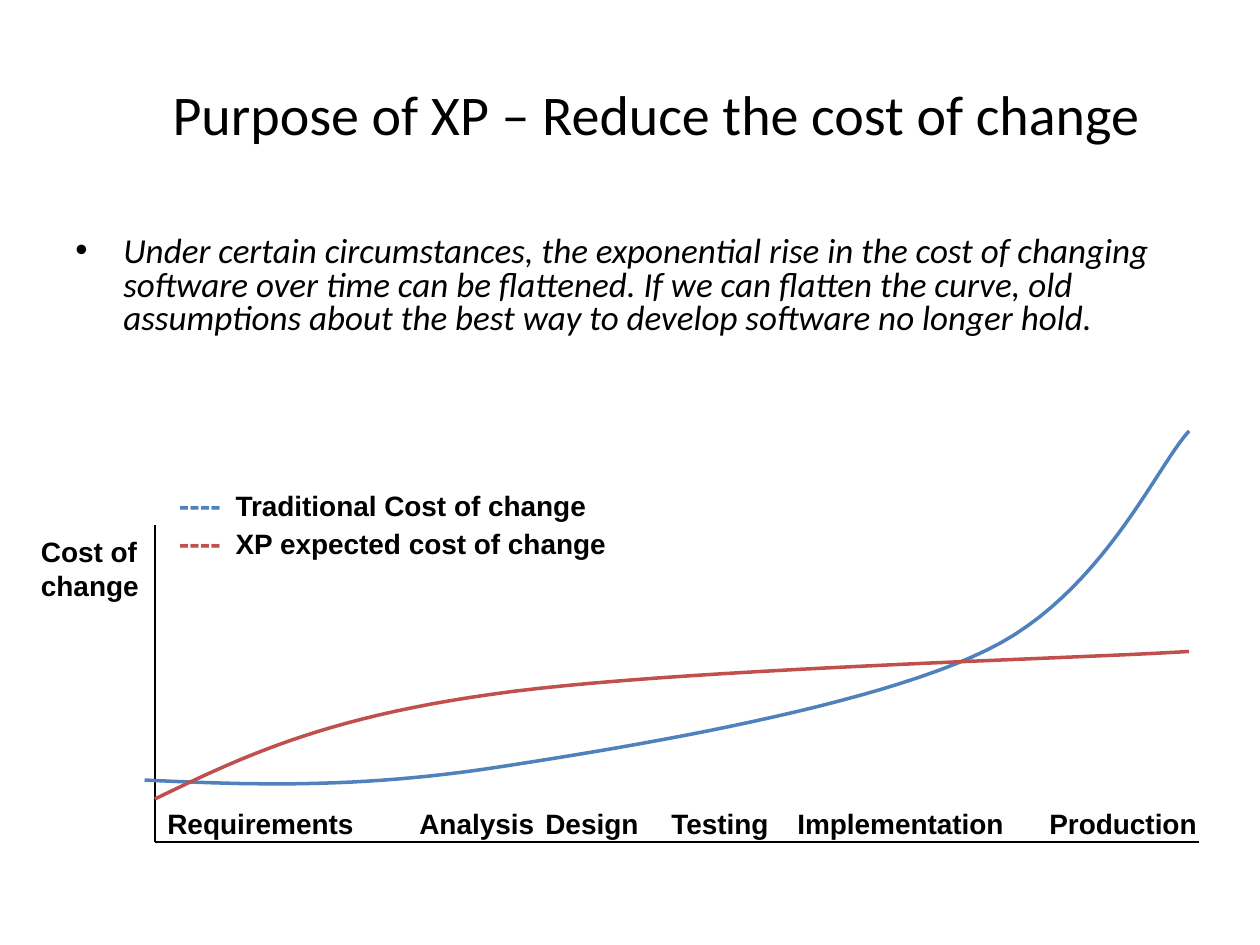
from lxml.etree import SubElement
from pptx import Presentation
from pptx.dml.color import RGBColor
from pptx.enum.shapes import MSO_CONNECTOR
from pptx.enum.text import MSO_ANCHOR, PP_ALIGN
from pptx.oxml.ns import qn
from pptx.util import Inches, Pt

BLACK = RGBColor(0x00, 0x00, 0x00)
BLUE = RGBColor(0x4F, 0x81, 0xBD)
RED = RGBColor(0xC0, 0x50, 0x4D)

SLIDE_WIDTH, SLIDE_HEIGHT = Inches(10), Inches(7.5)
CURVE_STEPS = 24

TITLE_BOX = (0.42, 0.29, 9.58, 1.21)
STATEMENT_BOX = (0.5, 1.83, 9.12, 1.58)
GRAPH_BOX = (1.23, 3.42, 8.29, 3.26)

TITLE = "Purpose of XP – Reduce the cost of change"
STATEMENT = (
    "Under certain circumstances, the exponential rise in the cost of changing "
    "software over time can be flattened. If we can flatten the curve, old "
    "assumptions about the best way to develop software no longer hold."
)
PHASES = ["Requirements", "Analysis", "Design", "Testing", "Implementation", "Production"]
PHASE_TABS = [2, 3, 4, 5, 7]
LEGEND = [("Traditional Cost of change", BLUE), ("XP expected cost of change", RED)]
LEGEND_TAB = 0.45

TRADITIONAL_CURVE = [
    (-1, 85), (9.2, 86.2), (19.3, 87.1), (32.7, 81.9), (46.1, 76.7),
    (68.5, 67.2), (79.6, 53.4), (90.6, 39.9), (95.8, 8.9), (99, 0),
]
XP_CURVE = [
    (0, 89.6), (8, 79.8), (15.9, 69.9), (32.3, 64.1),
    (48.9, 58), (87.8, 55.5), (99, 53.7),
]


def percent_of(box, x, y):
    left, top, width, height = box
    return Inches(left + width * x / 100), Inches(top + height * y / 100)


def part_of(box, x, y, width, height):
    left, top, full_width, full_height = box
    return (left + full_width * x / 100, top + full_height * y / 100,
            full_width * width / 100, full_height * height / 100)


def add_frame(slide, box, anchor):
    frame = slide.shapes.add_textbox(*map(Inches, box)).text_frame
    frame.word_wrap = True
    frame.vertical_anchor = anchor
    return frame


def set_font(font, size, name="Arial", color=BLACK, bold=None, italic=None):
    font.name, font.size = name, Pt(size)
    font.color.rgb = color
    font.bold, font.italic = bold, italic


def add_tabs(paragraph, stops):
    tabs = SubElement(paragraph._p.get_or_add_pPr(), qn("a:tabLst"))
    for stop in stops:
        SubElement(tabs, qn("a:tab"), pos=str(Inches(stop)), algn="l")


def add_title(slide, box):
    heading = add_frame(slide, box, MSO_ANCHOR.MIDDLE).paragraphs[0]
    heading.text = TITLE
    heading.alignment = PP_ALIGN.CENTER
    set_font(heading.font, 32, "Calibri")


def add_statement(slide, box):
    statement = add_frame(slide, box, MSO_ANCHOR.TOP).paragraphs[0]
    statement.text = STATEMENT
    statement.line_spacing = 0.8
    properties = statement._p.get_or_add_pPr()
    properties.set("marL", str(Inches(0.38)))
    properties.set("indent", str(Inches(-0.38)))
    SubElement(properties, qn("a:buFont"), typeface="Arial")
    SubElement(properties, qn("a:buChar"), char="•")
    set_font(statement.font, 20, "Calibri", italic=True)


def add_axis(slide, start, end):
    axis = slide.shapes.add_connector(MSO_CONNECTOR.STRAIGHT, *start, *end)
    axis.line.color.rgb = BLACK
    axis.line.width = Pt(1)
    SubElement(axis._element.spPr, qn("a:effectLst"))


def bezier_point(controls, t):
    weights = ((1 - t) ** 3, 3 * t * (1 - t) ** 2, 3 * t ** 2 * (1 - t), t ** 3)
    return tuple(sum(w * c[i] for w, c in zip(weights, controls)) for i in (0, 1))


def add_curve(slide, box, controls, color):
    points = [
        percent_of(box, *bezier_point(controls[first:first + 4], step / CURVE_STEPS))
        for first in range(0, len(controls) - 1, 3)
        for step in range(1, CURVE_STEPS + 1)
    ]
    builder = slide.shapes.build_freeform(*percent_of(box, *controls[0]))
    builder.add_line_segments(points, close=False)
    curve = builder.convert_to_shape()
    curve.shadow.inherit = False
    curve.fill.background()
    curve.line.color.rgb = color
    curve.line.width = Pt(2)


def add_label(slide, box, text, tabs=()):
    label = add_frame(slide, box, MSO_ANCHOR.BOTTOM).paragraphs[0]
    label.text = text
    if tabs:
        add_tabs(label, tabs)
    set_font(label.font, 16, bold=True)


def add_legend(slide, box):
    frame = add_frame(slide, box, MSO_ANCHOR.BOTTOM)
    for index, (name, color) in enumerate(LEGEND):
        entry = frame.add_paragraph() if index else frame.paragraphs[0]
        add_tabs(entry, [LEGEND_TAB])
        for text, size, ink in (("----", 18, color), ("\t" + name, 16, BLACK)):
            run = entry.add_run()
            run.text = text
            set_font(run.font, size, color=ink, bold=True)


def add_graph(slide, box):
    origin = percent_of(box, 0, 100)
    add_axis(slide, origin, percent_of(box, 100, 100))
    add_axis(slide, origin, percent_of(box, 0, 23))
    add_label(slide, part_of(box, 0, 92.3, 108, 8.9), "\t".join(PHASES), PHASE_TABS)
    add_label(slide, part_of(box, -12.1, 20.2, 13.1, 23), "Cost of change")
    add_curve(slide, box, TRADITIONAL_CURVE, BLUE)
    add_curve(slide, box, XP_CURVE, RED)
    add_legend(slide, part_of(box, 1.1, 4.9, 69.6, 28.2))


def main():
    deck = Presentation()
    deck.slide_width, deck.slide_height = SLIDE_WIDTH, SLIDE_HEIGHT
    slide = deck.slides.add_slide(deck.slide_layouts[6])
    add_title(slide, TITLE_BOX)
    add_statement(slide, STATEMENT_BOX)
    add_graph(slide, GRAPH_BOX)
    deck.save("out.pptx")


if __name__ == "__main__":
    main()
